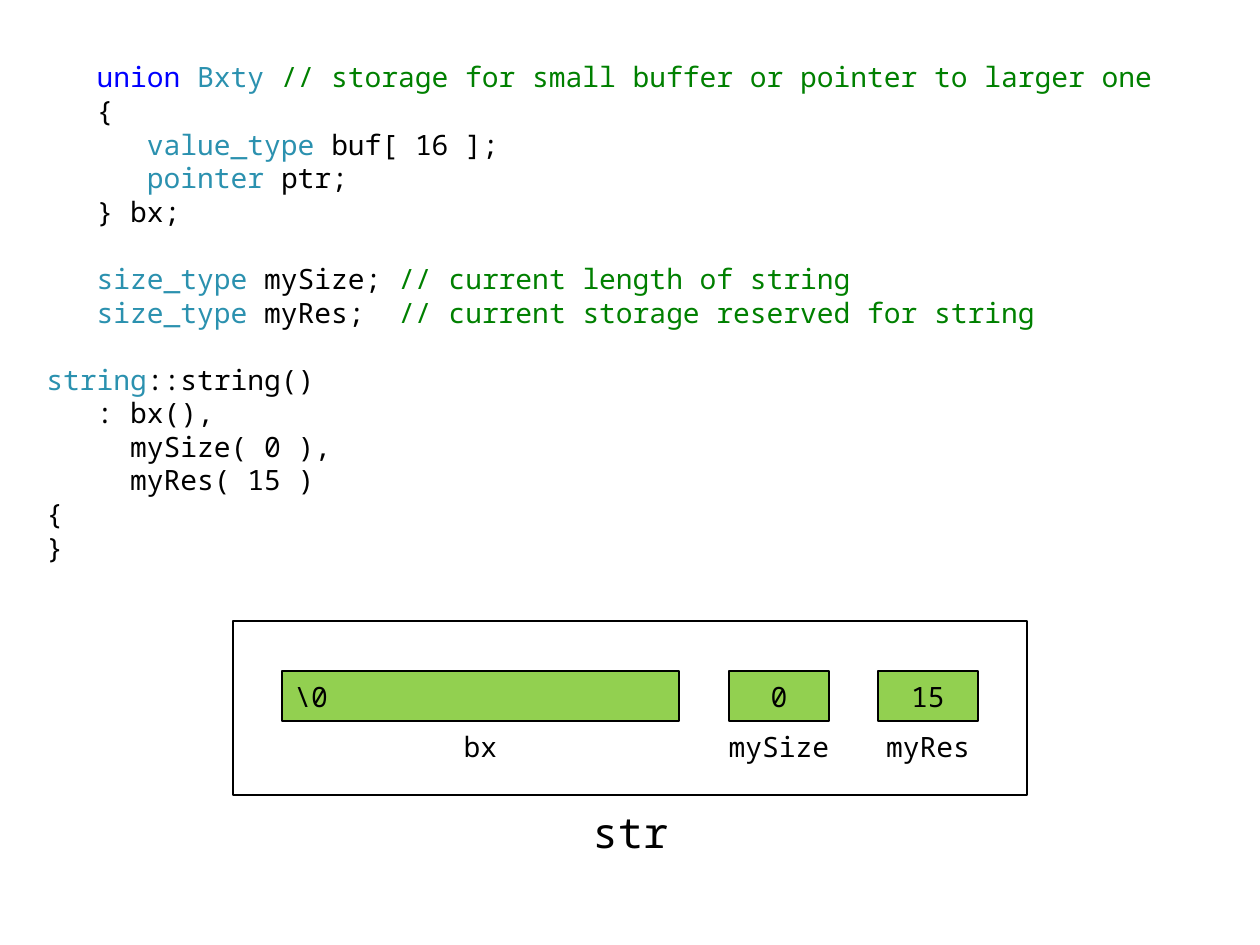
from pptx import Presentation
from pptx import util as u
from pptx.dml.color import RGBColor
from pptx.enum import shapes, text

BLACK = RGBColor(0x00, 0x00, 0x00)
WHITE = RGBColor(0xFF, 0xFF, 0xFF)
GREEN = RGBColor(0x92, 0xD0, 0x50)
KEYWORD = RGBColor(0x00, 0x00, 0xFF)
TYPE = RGBColor(0x2B, 0x91, 0xAF)
COMMENT = RGBColor(0x00, 0x80, 0x00)
PROCESS = shapes.MSO_SHAPE.FLOWCHART_PROCESS
CENTER = text.PP_ALIGN.CENTER
LEFT = text.PP_ALIGN.LEFT


def px(n):
    return u.Emu(round(n * 914400 / 126))


def write(paragraph, words, size=16, color=BLACK, spacing=None):
    run = paragraph.add_run()
    run.text = words
    run.font.name = "Noto Sans Mono"
    run.font.size = u.Pt(size)
    run.font.color.rgb = color
    if spacing is not None:
        run.font._element.set("spc", str(spacing))


class Sketch:
    line_width = u.Pt(1.5)
    code_pitch = u.Pt(19.2)

    def __init__(self, slide):
        self.slide = slide

    def code(self, left, top, width, height, lines):
        """Each line is a list of (words, color); an empty line is a gap."""
        listing = self.slide.shapes.add_textbox(*map(px, (left, top, width, height)))
        frame = listing.text_frame
        frame.word_wrap = True
        frame.margin_top = px(10)
        paragraph, gap = frame.paragraphs[0], False
        for number, line in enumerate(lines):
            if not line:
                gap = True
                continue
            if number:
                paragraph = frame.add_paragraph()
            paragraph.line_spacing = self.code_pitch
            if gap:
                paragraph.space_before = self.code_pitch
            gap = False
            for words, color in line:
                write(paragraph, words, color=color)

    def caption(self, left, top, width, height, words, size):
        caption = self.slide.shapes.add_textbox(*map(px, (left, top, width, height)))
        self.center_text(caption.text_frame, CENTER)
        write(caption.text_frame.paragraphs[0], words, size=size)

    def box(self, left, top, width, height, kind=PROCESS, fill=None,
            words=(), align=CENTER):
        box = self.slide.shapes.add_shape(kind, *map(px, (left, top, width, height)))
        box.shadow.inherit = False
        if fill is None:
            box.fill.background()
            box.line.fill.background()
        else:
            box.fill.solid()
            box.fill.fore_color.rgb = fill
            box.line.color.rgb = BLACK
            box.line.width = self.line_width
        self.center_text(box.text_frame, align)
        for part, spacing in words:
            write(box.text_frame.paragraphs[0], part, spacing=spacing)

    def field(self, left, top, width, height, name, value, name_width, align=CENTER):
        """A member's value with its name centred below."""
        self.box(left, top, width, height, shapes.MSO_SHAPE.RECTANGLE, GREEN, value, align)
        self.box(left + (width - name_width) / 2, top + height, name_width, height,
                 words=[(name, None)])

    @staticmethod
    def center_text(frame, align):
        frame.word_wrap = True
        frame.vertical_anchor = text.MSO_ANCHOR.MIDDLE
        frame.paragraphs[0].alignment = align


CODE = [
    [("   ", BLACK), ("union ", KEYWORD), ("Bxty ", TYPE),
     ("// storage for small buffer or pointer to larger one", COMMENT)],
    [("   {", BLACK)],
    [("      ", BLACK), ("value_type ", TYPE), ("buf[ 16 ];", BLACK)],
    [("      ", BLACK), ("pointer ", TYPE), ("ptr;", BLACK)],
    [("   } bx;", BLACK)],
    [],
    [("   ", BLACK), ("size_type ", TYPE), ("mySize; ", BLACK),
     ("// current length of string", COMMENT)],
    [("   ", BLACK), ("size_type ", TYPE), ("myRes;  ", BLACK),
     ("// current storage reserved for string", COMMENT)],
    [],
    [("string", TYPE), ("::string()", BLACK)],
    [("   : bx(),", BLACK)],
    [("     mySize( 0 ),", BLACK)],
    [("     myRes( 15 )", BLACK)],
    [("{", BLACK)],
    [("}", BLACK)],
]

# left, width, name, value parts with letter spacing, name width, alignment
FIELDS = [
    (282, 397, "bx", [("\\", -150), ("0", 0)], 100, LEFT),
    (729, 100, "mySize", [("0", None)], 149, CENTER),
    (878, 100, "myRes", [("15", None)], 149, CENTER),
]


def main():
    deck = Presentation()
    deck.slide_width, deck.slide_height = u.Inches(10), u.Inches(7.5)
    sketch = Sketch(deck.slides.add_slide(deck.slide_layouts[6]))

    # Source code
    sketch.code(34, 50, 1191, 520, CODE)

    # The string object and its members
    sketch.caption(556, 795, 149, 74, "str", 24)
    sketch.box(233, 621, 794, 174, fill=WHITE)
    for left, width, name, value, name_width, align in FIELDS:
        sketch.field(left, 671, width, 50, name, value, name_width, align)

    deck.save("out.pptx")


if __name__ == "__main__":
    main()
